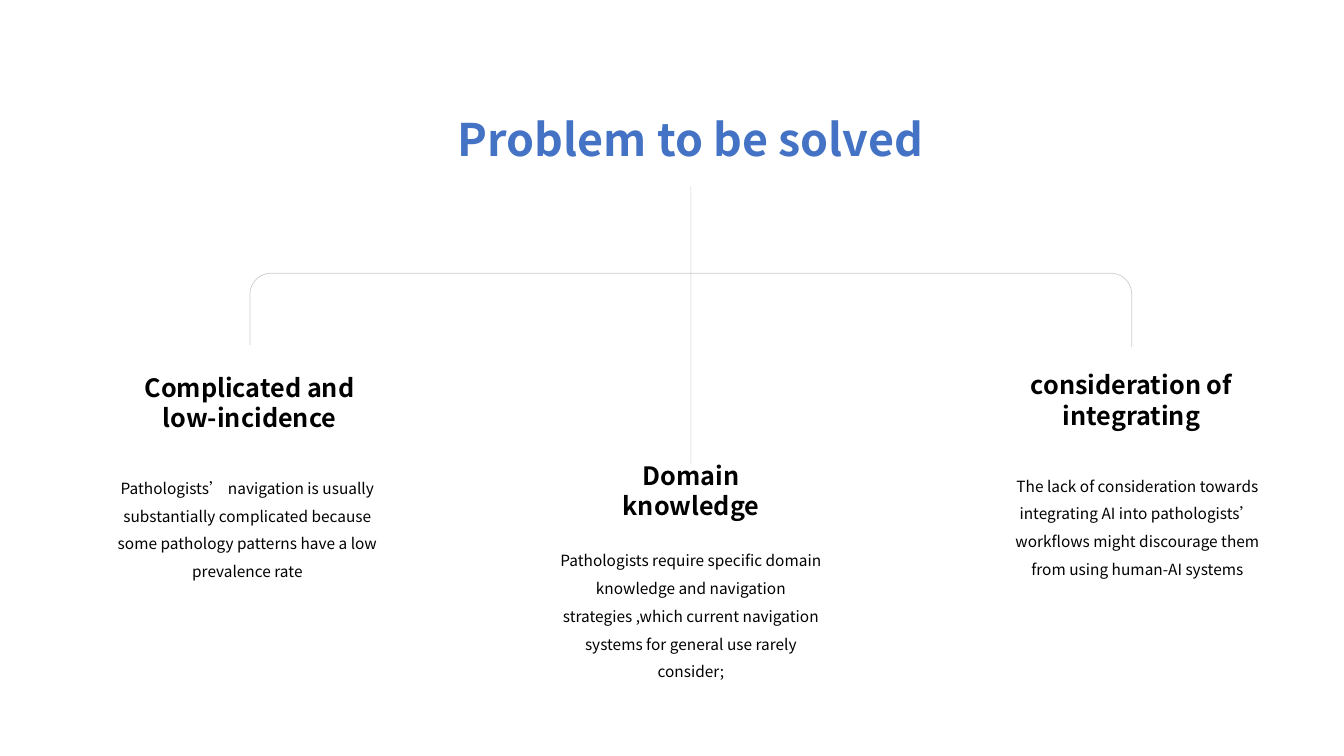
from dataclasses import dataclass
from math import cos, radians, sin

from lxml import etree
from pptx import Presentation
from pptx.dml.color import RGBColor
from pptx.enum.shapes import MSO_CONNECTOR
from pptx.enum.text import MSO_ANCHOR, PP_ALIGN
from pptx.oxml.ns import qn
from pptx.util import Pt

STRAIGHT = MSO_CONNECTOR.STRAIGHT
TOP, MIDDLE = MSO_ANCHOR.TOP, MSO_ANCHOR.MIDDLE
CENTER = PP_ALIGN.CENTER


@dataclass(frozen=True)
class Theme:
    font: str = "Noto Sans CJK SC"
    ink: RGBColor = RGBColor(0x00, 0x00, 0x00)
    blue: RGBColor = RGBColor(0x44, 0x72, 0xC4)
    title: int = 32
    head: int = 18
    body: int = 11
    line: float = 0.5
    alpha: int = 20


THEME = Theme()

TOPICS = [
    ((72, 262.1, 209.5), (93.6, 169.2), 69.8,
     "Complicated and low-incidence",
     "Pathologists’ navigation is usually substantially complicated because "
     "some pathology patterns have a low prevalence rate"),
    ((388.8, 325.4, 209.5), (409, 169.2), 58.3,
     "Domain knowledge",
     "Pathologists require specific domain knowledge and navigation strategies "
     ",which current navigation systems for general use rarely consider;"),
    ((712.1, 260.6, 200.9), (723.6, 169.2), 69.8,
     "consideration of integrating",
     "The lack of consideration towards integrating AI into pathologists’ "
     "workflows might discourage them from using human-AI systems"),
]


def add_text(slide, box, text, size, color=THEME.ink, bold=False,
             anchor=TOP, space=1.0):
    frame = slide.shapes.add_textbox(*map(Pt, box)).text_frame
    frame.word_wrap = True
    frame.vertical_anchor = anchor
    para = frame.paragraphs[0]
    para.alignment = CENTER
    para.line_spacing = space
    run = para.add_run()
    run.text = text
    font = run.font
    font.name, font.size, font.bold = THEME.font, Pt(size), bold
    font.color.rgb = color
    east = etree.SubElement(run._r.get_or_add_rPr(), qn("a:ea"))
    east.set("typeface", THEME.font)


def style_line(line):
    line.width = Pt(THEME.line)
    line.color.rgb = THEME.ink
    tint = line._ln.find(".//" + qn("a:srgbClr"))
    alpha = etree.SubElement(tint, qn("a:alpha"))
    alpha.set("val", str(THEME.alpha * 1000))


def add_stem(slide, x, top, end):
    stem = slide.shapes.add_connector(STRAIGHT, Pt(x), Pt(top), Pt(x), Pt(end))
    style_line(stem.line)
    etree.SubElement(stem._element.spPr, qn("a:effectLst"))


def arc(x, y, radius, start):
    angles = [radians(start + step * 7.5) for step in range(13)]
    return [(x + radius * cos(a), y + radius * sin(a)) for a in angles]


def add_fork(slide, box, radius, extra):
    left, top, width, height = box
    right, bend = left + width, top + radius
    points = arc(left + radius, bend, radius, 180)
    points += arc(right - radius, bend, radius, 270)
    points.append((right, top + height + extra))
    build = slide.shapes.build_freeform(Pt(left), Pt(top + height))
    build.add_line_segments([(Pt(x), Pt(y)) for x, y in points], close=False)
    fork = build.convert_to_shape()
    fork.shadow.inherit = False
    fork.fill.background()
    style_line(fork.line)


def add_tree(slide, box):
    left, top, width, height = box
    mid, fork = left + width / 2, top + 62
    add_stem(slide, mid, top, fork)
    add_fork(slide, (left, fork, width, 51.1), 15, 1.5)
    add_stem(slide, mid, fork, top + height)


def add_topic(slide, box, head, drop, title, body):
    left, top, width = box
    add_text(slide, (head[0], top, head[1], 51), title, THEME.head, bold=True)
    add_text(slide, (left, top + drop, width, 85), body, THEME.body, space=1.5)


def main():
    deck = Presentation()
    deck.slide_width, deck.slide_height = Pt(960), Pt(540)
    slide = deck.slides.add_slide(deck.slide_layouts[6])
    add_text(slide, (289.4, 76.3, 408.2, 46.1), "Problem to be solved",
             THEME.title, color=THEME.blue, bold=True, anchor=MIDDLE)
    add_tree(slide, (178.6, 133.2, 629.8, 198))
    for topic in TOPICS:
        add_topic(slide, *topic)
    deck.save("out.pptx")


if __name__ == "__main__":
    main()
